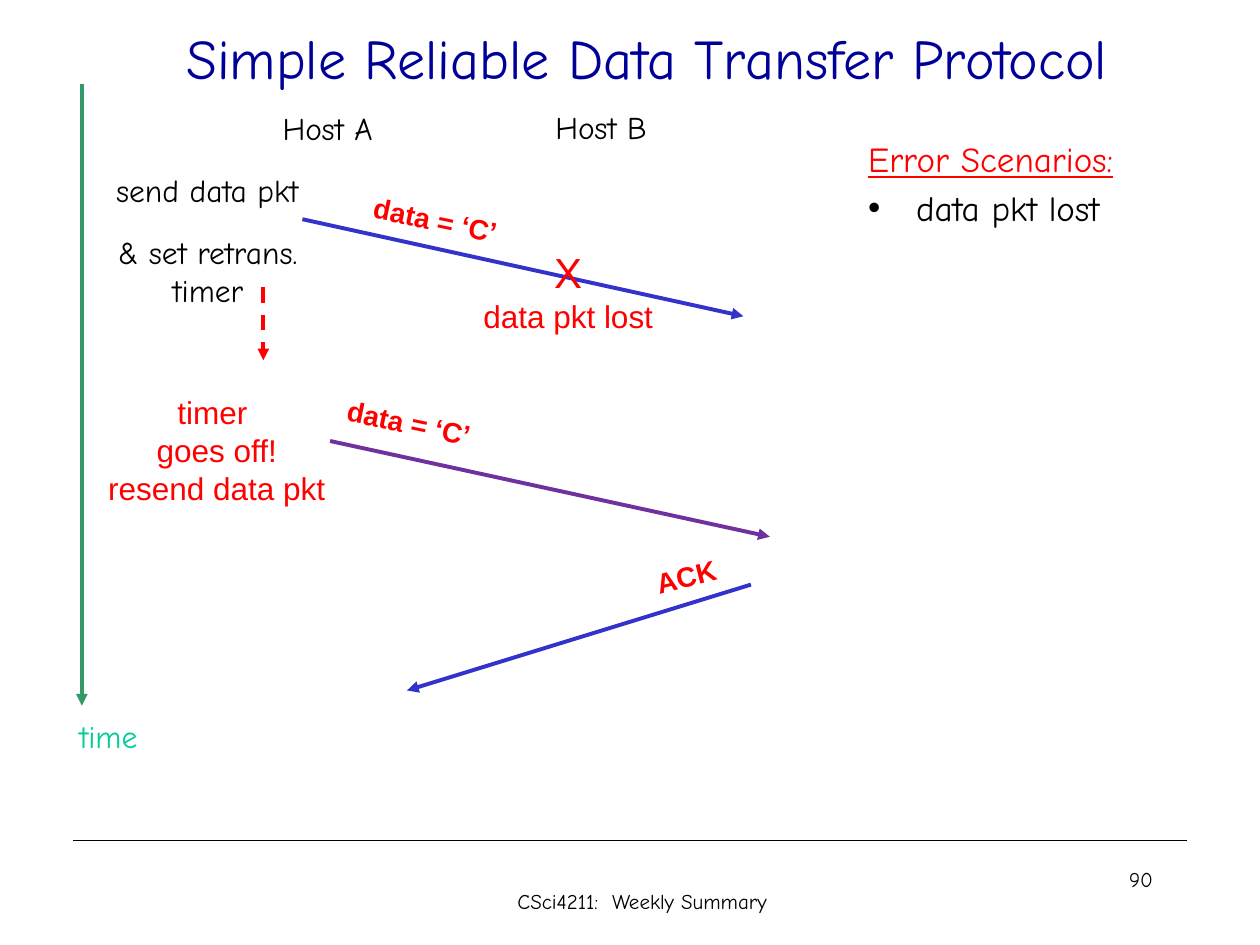
from dataclasses import dataclass
from typing import Optional

from lxml.etree import SubElement
from pptx import Presentation
from pptx.dml.color import RGBColor
from pptx.enum.dml import MSO_LINE_DASH_STYLE as Dash
from pptx.enum.shapes import MSO_CONNECTOR as Connector
from pptx.enum.text import MSO_ANCHOR as Anchor, MSO_AUTO_SIZE as AutoSize, PP_ALIGN as Align
from pptx.oxml.ns import qn
from pptx.util import Emu, Inches, Pt

COLS, ROWS = 100, 75
WIDTH, HEIGHT = Inches(10), Inches(7.5)
COMIC, ARIAL = "Comic Neue", "Arial"
BLACK, RED, NAVY, BLUE = "000000", "FF0000", "000099", "3333CC"
GREEN, MINT, PURPLE = "339966", "00CC99", "7030A0"
DATA_TILT, ACK_TILT = 11.8, -14.1


@dataclass(frozen=True)
class Label:
    lines: tuple[str, ...]
    box: tuple[float, float, float, float]
    font: str = COMIC
    color: str = BLACK
    sizes: tuple[int, ...] = (18,)
    bold: bool = False
    tilt: float = 0
    align: Align = Align.CENTER
    wrap: bool = False


@dataclass(frozen=True)
class Arrow:
    start: tuple[float, float]
    end: tuple[float, float]
    color: str
    width: float = 2.25
    dash: Optional[Dash] = None
    head: bool = True


def tag(text: str, box: tuple[float, float, float, float], tilt: float) -> Label:
    return Label((text,), box, ARIAL, RED, (16,), True, tilt)


ARROWS = [
    Arrow((5.8, 66.7), (94.2, 66.7), BLACK, 0.75, head=False),
    Arrow((6.5, 6.7), (6.5, 56), GREEN),
    Arrow((24, 17.4), (59, 25.1), BLUE),
    Arrow((20.9, 22.8), (20.9, 28.6), RED, dash=Dash.DASH),
    Arrow((26.2, 35), (61.1, 42.6), PURPLE),
    Arrow((59.6, 46.4), (32.3, 54.8), BLUE),
]

LABELS = [
    Label(("Host A",), (20.9, 8.2, 10.2, 4)),
    Label(("Host B",), (42.7, 8.1, 10, 4)),
    Label(("send data pkt",), (7.4, 13.1, 18.1, 4)),
    Label(("& set retrans.", "timer"), (7.3, 18, 18.4, 7.1)),
    tag("data = ‘C’", (28, 15.6, 13.1, 3.7), DATA_TILT),
    Label(("X", "data pkt lost"), (37.3, 19.1, 15.6, 8.1), ARIAL, RED, (24, 18)),
    Label(("timer ", "goes off!", "resend data pkt"), (7.5, 30.7, 19.4, 10.1), ARIAL, RED),
    tag("data = ‘C’", (25.9, 31.7, 13.1, 3.7), DATA_TILT),
    tag("ACK", (51, 43.9, 6.9, 3.7), ACK_TILT),
    Label(("time",), (5, 56.4, 7.2, 4), color=MINT),
    Label(("CSci4211:  Weekly Summary ",), (35, 70, 32.5, 5), sizes=(12,), wrap=True),
    Label(("90",), (71.7, 68.3, 20.8, 5), sizes=(12,), align=Align.RIGHT, wrap=True),
]


def rgb(color: str) -> RGBColor:
    return RGBColor.from_string(color)


def x(cols: float) -> Emu:
    return Emu(round(WIDTH * cols / COLS))


def y(rows: float) -> Emu:
    return Emu(round(HEIGHT * rows / ROWS))


def place(sp, box: tuple[float, float, float, float]) -> None:
    left, top, width, height = box
    sp.left, sp.top, sp.width, sp.height = x(left), y(top), x(width), y(height)


def add_run(p, text: str, size: float, color: str, font: str = COMIC,
            bold: bool = False, underline: bool = False) -> None:
    r = p.add_run()
    r.text = text
    r.font.name, r.font.size = font, Pt(size)
    r.font.bold, r.font.underline = bold, underline
    r.font.color.rgb = rgb(color)


def draw_label(s, label: Label) -> None:
    left, top, width, height = label.box
    sp = s.shapes.add_textbox(x(left), y(top), x(width), y(height))
    sp.rotation = label.tilt
    tf = sp.text_frame
    tf.word_wrap = label.wrap
    tf.auto_size = AutoSize.NONE if label.wrap else AutoSize.SHAPE_TO_FIT_TEXT
    for i, text in enumerate(label.lines):
        p = tf.add_paragraph() if i else tf.paragraphs[0]
        p.alignment = label.align
        size = label.sizes[min(i, len(label.sizes) - 1)]
        add_run(p, text, size, label.color, label.font, label.bold)


def draw_arrow(s, arrow: Arrow) -> None:
    (x1, y1), (x2, y2) = arrow.start, arrow.end
    sp = s.shapes.add_connector(Connector.STRAIGHT, x(x1), y(y1), x(x2), y(y2))
    sp.line.color.rgb = rgb(arrow.color)
    sp.line.width = Pt(arrow.width)
    if arrow.dash:
        sp.line.dash_style = arrow.dash
    if arrow.head:
        SubElement(sp.line._get_or_add_ln(), qn("a:tailEnd"), type="triangle")
    SubElement(sp._element.spPr, qn("a:effectLst"))


def fill_title(sp) -> None:
    place(sp, (6.7, -1.7, 90.8, 12.5))
    tf = sp.text_frame
    tf.auto_size, tf.vertical_anchor = AutoSize.NONE, Anchor.MIDDLE
    p = tf.paragraphs[0]
    p.alignment = Align.CENTER
    add_run(p, "Simple Reliable Data Transfer Protocol ", 32, NAVY)


def fill_scenarios(sp) -> None:
    place(sp, (67.9, 10.4, 25.8, 48.3))
    tf = sp.text_frame
    tf.auto_size = AutoSize.NONE
    heading, item = tf.paragraphs[0], tf.add_paragraph()
    for p in (heading, item):
        pPr = p._p.get_or_add_pPr()
        pPr.set("marL", str(Inches(0.38)))
        pPr.set("indent", str(-Inches(0.38)))
    SubElement(heading._p.pPr, qn("a:buNone"))
    SubElement(item._p.pPr, qn("a:buChar"), char="•")
    heading.space_before, item.space_before = Pt(0), Pt(4)
    add_run(heading, "Error Scenarios:", 20, RED, underline=True)
    add_run(item, "data pkt lost", 20, BLACK)


def main() -> None:
    prs = Presentation()
    prs.slide_width, prs.slide_height = WIDTH, HEIGHT
    s = prs.slides.add_slide(prs.slide_layouts[1])
    fill_title(s.shapes.title)
    fill_scenarios(s.placeholders[1])
    for arrow in ARROWS:
        draw_arrow(s, arrow)
    for label in LABELS:
        draw_label(s, label)
    prs.save("out.pptx")


if __name__ == "__main__":
    main()
